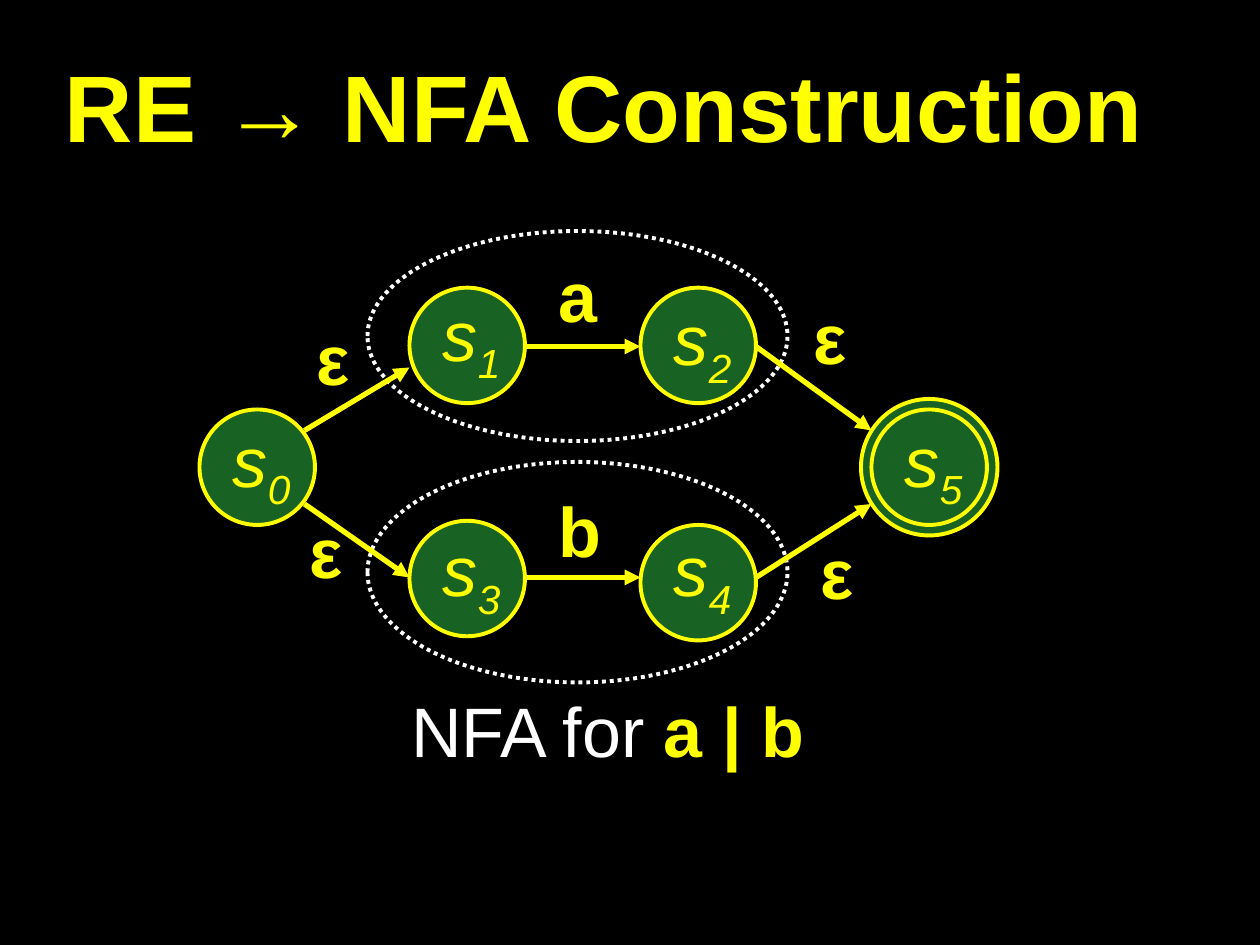
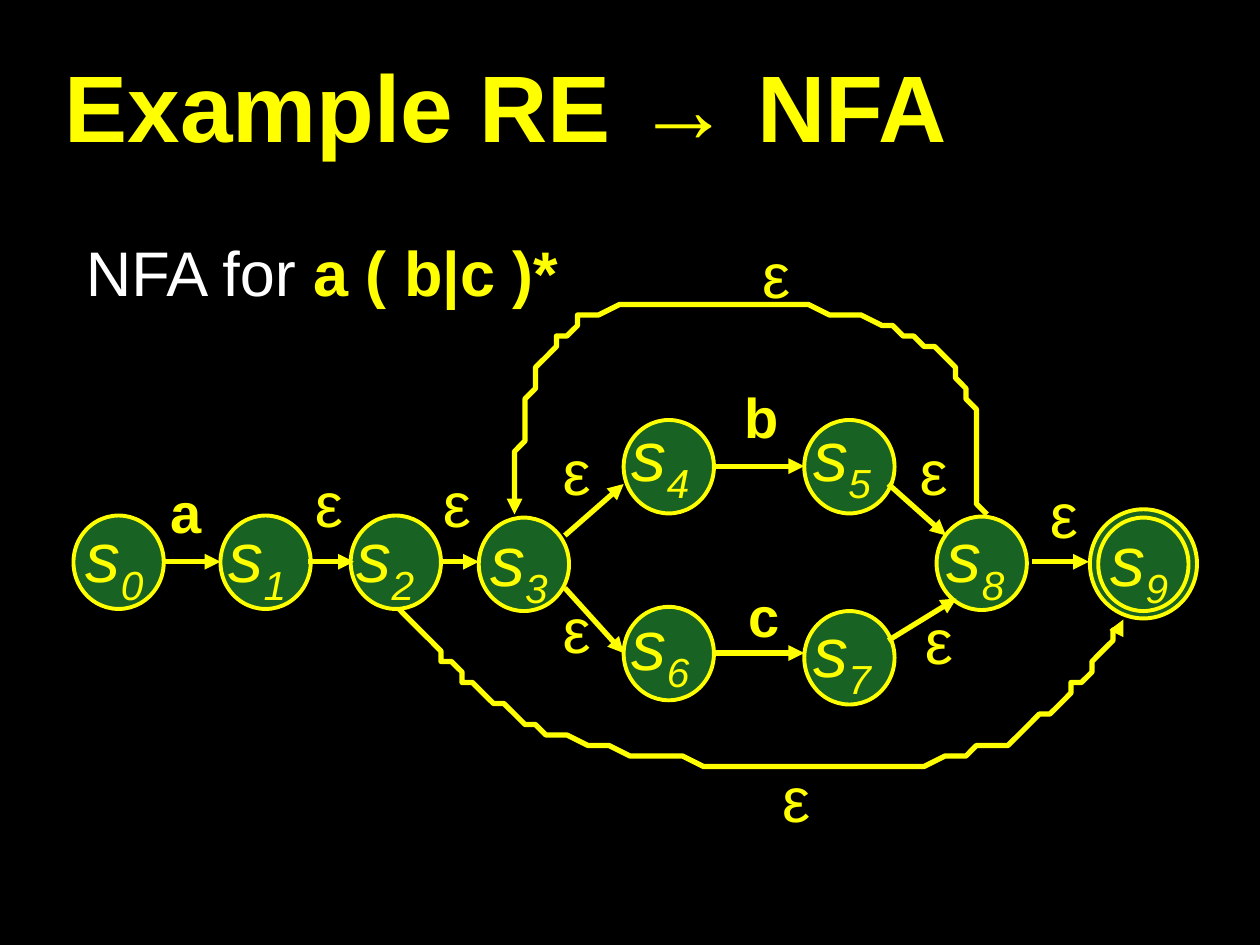
"""Build two slides that draw NFAs on a grid of 120 columns by 90 rows."""
from lxml import etree
from pptx import Presentation, util as u
from pptx.dml.color import RGBColor
from pptx.enum import dml, shapes, text
from pptx.oxml import ns

HUE = {"night": "000000", "sun": "FFFF00", "leaf": "186224", "snow": "FFFFFF", "shade": "C0C0C0"}
FONT = "Arial"
deck = Presentation()
deck.slide_width, deck.slide_height = u.Inches(10), u.Inches(7.5)
CELL = deck.slide_width / 120


def pen(shape, hue, width, arrow=False):
    """Style an outline without shadow, with an optional arrowhead at its end."""
    props = shape._element.spPr
    shape.line.color.rgb = RGBColor.from_string(HUE[hue])
    shape.line.width = u.Pt(width)
    if arrow:
        etree.SubElement(shape.line._get_or_add_ln(), ns.qn("a:tailEnd"), type="triangle")
    if props.find(ns.qn("a:effectLst")) is None:
        etree.SubElement(props, ns.qn("a:effectLst"))


def write(slide, box, runs, size, space=0.8):
    """Add a text box; each run is its text, hue and style letters."""
    frame = slide.shapes.add_textbox(*[round(n * CELL) for n in box]).text_frame
    frame.word_wrap = True
    para = frame.paragraphs[0]
    para.line_spacing = space
    for words, hue, style in runs:
        run = para.add_run()
        run.text = words
        font = run.font
        font.name, font.size = FONT, u.Pt(size)
        font.bold, font.italic = "b" in style, "i" in style
        font.color.rgb = RGBColor.from_string(HUE[hue])
        if "_" in style:
            run._r.get_or_add_rPr().set("baseline", "-25000")
    return frame


UNION = {
    "title": "RE → NFA Construction",
    "note": ((38, 66.4, 44, 7.7), 40, "a | b"),
    "ring": (82, 38, 13, 13),
    "node": (11, 11),
    "name": (12, 8.5),
    "states": [(19, 39, 21, 40), (39, 27.4, 41, 28), (61, 27.4, 63, 28.4),
               (39, 49.6, 41, 50.4), (61, 50, 63, 50.4), (83, 39, 85, 40)],
    "moves": [(50, 33, 61, 33), (50, 55, 61, 55), (29, 41, 39, 35),
              (29, 48, 39, 55), (72, 33, 83, 41), (72, 55, 83, 48)],
    "bends": [],
    "tags": [("ab", 40, "b", (8.8, 7.7), [(52, 25), (52, 47.4)]),
             ("εεεε", 40, "b", (8.8, 7.7), [(29, 31), (28.3, 49.4), (76.3, 29), (77, 51.4)])],
    "parts": [(35, 22, 40, 20), (35, 44, 40, 21)],
}
STAR = {
    "title": "Example RE → NFA",
    "note": ((7, 23, 49, 7), 36, "a ( b|c )*"),
    "ring": (103.8, 48.5, 10.2, 10.4),
    "node": (8.6, 8.9),
    "name": (9.4, 8.5),
    "states": [(7, 49.1, 7, 49.1), (21, 49.1, 20.6, 49.1), (33.4, 49.1, 32.8, 49.1),
               (45.6, 49.3, 45.5, 49.4), (59.4, 40, 59, 39.4), (76.6, 40, 76.3, 39.4),
               (59.4, 57.8, 59, 57.4), (76.6, 58.2, 76.3, 58.1),
               (89.2, 49.2, 89, 49.1), (104.6, 49.3, 104.6, 49.4)],
    "moves": [(15.6, 53.5, 21, 53.5), (29.3, 53.5, 33.7, 53.5), (41.9, 53.5, 45.6, 53.5),
              (98.3, 53.5, 103.7, 53.5), (67.9, 44.4, 76.6, 44.4), (67.9, 62.2, 76.6, 62.2),
              (53.8, 51, 59.4, 46.1), (53.8, 56, 59.4, 62.2),
              (84.6, 46.1, 90.1, 51), (84.6, 61, 91.1, 57)],
    "bends": [[(93.5, 49), (93.5, 42.1), (93.4, 35.2), (87.1, 32), (81, 28.8),
               (62.6, 27.1), (56.3, 30), (49.9, 32.9), (49.4, 40.9), (49, 49)],
              [(38.3, 58.1), (42.6, 63.2), (46.8, 68.4), (55.6, 70.8), (64.3, 73.1),
               (82.3, 74.2), (91, 72.2), (99.6, 70.2), (103.4, 64.4), (107.4, 58.7)]],
    "tags": [("abc", 32, "b", (6.8, 6.4), [(15.1, 46.1), (69.7, 37.1), (70.1, 56)]),
             ("ε" * 9, 36, "", (6.8, 7),
              [(71.4, 23.2), (98.8, 46.1), (28.8, 45), (41, 45), (52.4, 42),
               (52.4, 57), (86.9, 58.1), (86.4, 42), (73.3, 73.1)])],
    "parts": [],
}

for plan in (UNION, STAR):
    slide = deck.slides.add_slide(deck.slide_layouts[6])
    slide.background.fill.solid()
    slide.background.fill.fore_color.rgb = RGBColor.from_string(HUE["night"])

    head = write(slide, (5, 5, 116, 10), [(plan["title"], "sun", "b")], 54, 1)
    head.vertical_anchor = text.MSO_ANCHOR.MIDDLE
    props = head.paragraphs[0].runs[0]._r.get_or_add_rPr()
    glow = etree.Element(ns.qn("a:effectLst"))
    cast = etree.SubElement(glow, ns.qn("a:outerShdw"), dist="35921", dir="2700000")
    etree.SubElement(cast, ns.qn("a:srgbClr"), val=HUE["shade"])
    props.find(ns.qn("a:solidFill")).addnext(glow)

    box, size, rule = plan["note"]
    write(slide, box, [("NFA for ", "snow", ""), (rule, "sun", "b")], size)

    discs = [plan["ring"]] + [(x, y, *plan["node"]) for x, y, _, _ in plan["states"]]
    for disc in discs + plan["parts"]:
        oval = slide.shapes.add_shape(shapes.MSO_SHAPE.OVAL, *[round(n * CELL) for n in disc])
        oval.shadow.inherit = False
        if disc in plan["parts"]:
            oval.fill.background()
            pen(oval, "snow", 2.25)
            oval.line.dash_style = dml.MSO_LINE.ROUND_DOT
        else:
            oval.fill.solid()
            oval.fill.fore_color.rgb = RGBColor.from_string(HUE["leaf"])
            pen(oval, "sun", 2.25)

    for move in plan["moves"]:
        line = slide.shapes.add_connector(shapes.MSO_CONNECTOR.STRAIGHT, *[round(n * CELL) for n in move])
        pen(line, "sun", 3, True)

    for bend in plan["bends"]:
        dots = []
        for start in range(0, len(bend) - 1, 3):
            for step in range(1, 21):
                t = step / 20
                mix = ((1 - t) ** 3, 3 * t * (1 - t) ** 2, 3 * t * t * (1 - t), t ** 3)
                dots.append([sum(m * p[axis] for m, p in zip(mix, bend[start:start + 4]))
                             for axis in (0, 1)])
        path = slide.shapes.build_freeform(*bend[0], scale=CELL)
        path.add_line_segments(dots, close=False)
        curve = path.convert_to_shape()
        curve.shadow.inherit = False
        curve.fill.background()
        pen(curve, "sun", 3, True)

    for rank, (_, _, x, y) in enumerate(plan["states"]):
        write(slide, (x, y, *plan["name"]), [("s", "sun", "i"), (str(rank), "sun", "i_")], 40)

    for signs, size, style, span, spots in plan["tags"]:
        for sign, spot in zip(signs, spots):
            write(slide, (*spot, *span), [(sign, "sun", style)], size)

deck.save("out.pptx")
